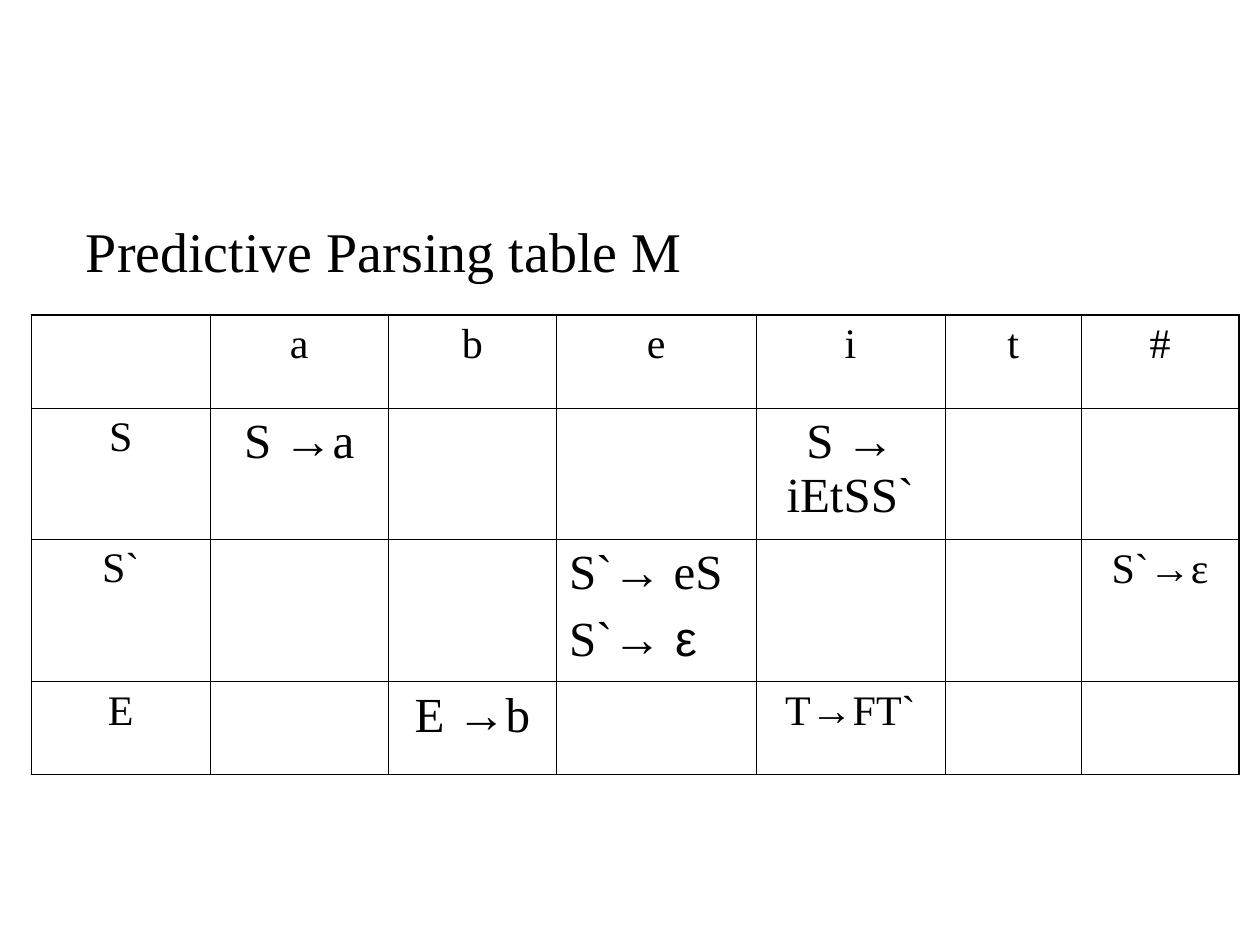
from dataclasses import dataclass
from typing import Optional

from lxml.etree import SubElement
from pptx import Presentation
from pptx.dml.color import RGBColor
from pptx.enum.text import MSO_ANCHOR, PP_ALIGN
from pptx.oxml.ns import qn
from pptx.util import Inches, Length, Pt


@dataclass(frozen=True)
class Theme:
    ink: str = "000000"
    text_font: str = "Times New Roman"
    symbol_font: str = "Arial"
    title_size: float = 32
    rule_size: float = 28
    label_size: float = 24
    line_gap: float = 7
    inner_line: float = 0.45
    outer_line: float = 1.08


@dataclass(frozen=True)
class Entry:
    """Lines of a table cell; every second piece of a line is in the symbol font."""
    lines: tuple[tuple[str, ...], ...]
    size: float
    align: PP_ALIGN = PP_ALIGN.CENTER


THEME = Theme()
COLUMNS = (17, 17, 16, 19, 18, 13, 15)
ROWS = (8.85, 12.5, 13.55, 8.85)


def units(count: float) -> Length:
    """Length of grid units, twelve to the inch."""
    return Inches(count / 12)


def label(*pieces: str) -> Entry:
    return Entry((pieces,), THEME.label_size)


def rule(*pieces: str) -> Entry:
    return Entry((pieces,), THEME.rule_size)


TERMINALS = tuple(label(symbol) for symbol in "abeit#")
ELSE_RULES = Entry((("S`", "→", " eS"), ("S`", "→ ε")), THEME.rule_size, PP_ALIGN.LEFT)
PARSING_TABLE: tuple[tuple[Optional[Entry], ...], ...] = (
    (None, *TERMINALS),
    (label("S"), rule("S ", "→", "a"), None, None, rule("S ", "→", " iEtSS`"), None, None),
    (label("S`"), None, None, ELSE_RULES, None, None, label("S`", "→", "ε")),
    (label("E"), None, rule("E ", "→", "b"), None, label("T", "→", "FT`"), None, None),
)


def write(frame, entry: Entry) -> None:
    for number, pieces in enumerate(entry.lines):
        paragraph = frame.add_paragraph() if number else frame.paragraphs[0]
        paragraph.alignment = entry.align
        paragraph.space_before = Pt(THEME.line_gap if number else 0)
        paragraph.font.name = THEME.text_font
        paragraph.font.size = Pt(entry.size)
        paragraph.font.color.rgb = RGBColor.from_string(THEME.ink)
        for index, piece in enumerate(pieces):
            run = paragraph.add_run()
            run.text = piece
            if index % 2:
                run.font.name = THEME.symbol_font


def draw_borders(cell, outer_sides: dict[str, bool]) -> None:
    properties = cell._tc.get_or_add_tcPr()
    for index, (side, is_outer) in enumerate(outer_sides.items()):
        width = THEME.outer_line if is_outer else THEME.inner_line
        line = SubElement(properties, qn(f"a:ln{side}"), w=str(Pt(width)))
        properties.insert(index, line)
        fill = SubElement(line, qn("a:solidFill"))
        SubElement(fill, qn("a:srgbClr"), val=THEME.ink)


def add_title(slide, title: str) -> None:
    frame = slide.shapes.add_textbox(units(7), units(20), units(102), units(60)).text_frame
    frame.word_wrap = True
    frame.vertical_anchor = MSO_ANCHOR.TOP
    write(frame, Entry(((title,),), THEME.title_size, PP_ALIGN.LEFT))


def add_parsing_table(slide) -> None:
    table = slide.shapes.add_table(
        len(ROWS), len(COLUMNS), units(3), units(30), units(sum(COLUMNS)), units(sum(ROWS))
    ).table
    table.first_row = table.horz_banding = False
    for column, width in zip(table.columns, COLUMNS):
        column.width = units(width)
    for row, height in zip(table.rows, ROWS):
        row.height = units(height)
    for r, entries in enumerate(PARSING_TABLE):
        for c, entry in enumerate(entries):
            cell = table.cell(r, c)
            cell.fill.background()
            draw_borders(cell, {
                "L": c == 0,
                "R": c == len(COLUMNS) - 1,
                "T": r == 0,
                "B": r == len(ROWS) - 1,
            })
            if entry:
                write(cell.text_frame, entry)


def main() -> None:
    presentation = Presentation()
    presentation.slide_width, presentation.slide_height = Inches(10), Inches(7.5)
    slide = presentation.slides.add_slide(presentation.slide_layouts[6])
    add_title(slide, "Predictive Parsing table M")
    add_parsing_table(slide)
    presentation.save("out.pptx")


if __name__ == "__main__":
    main()
